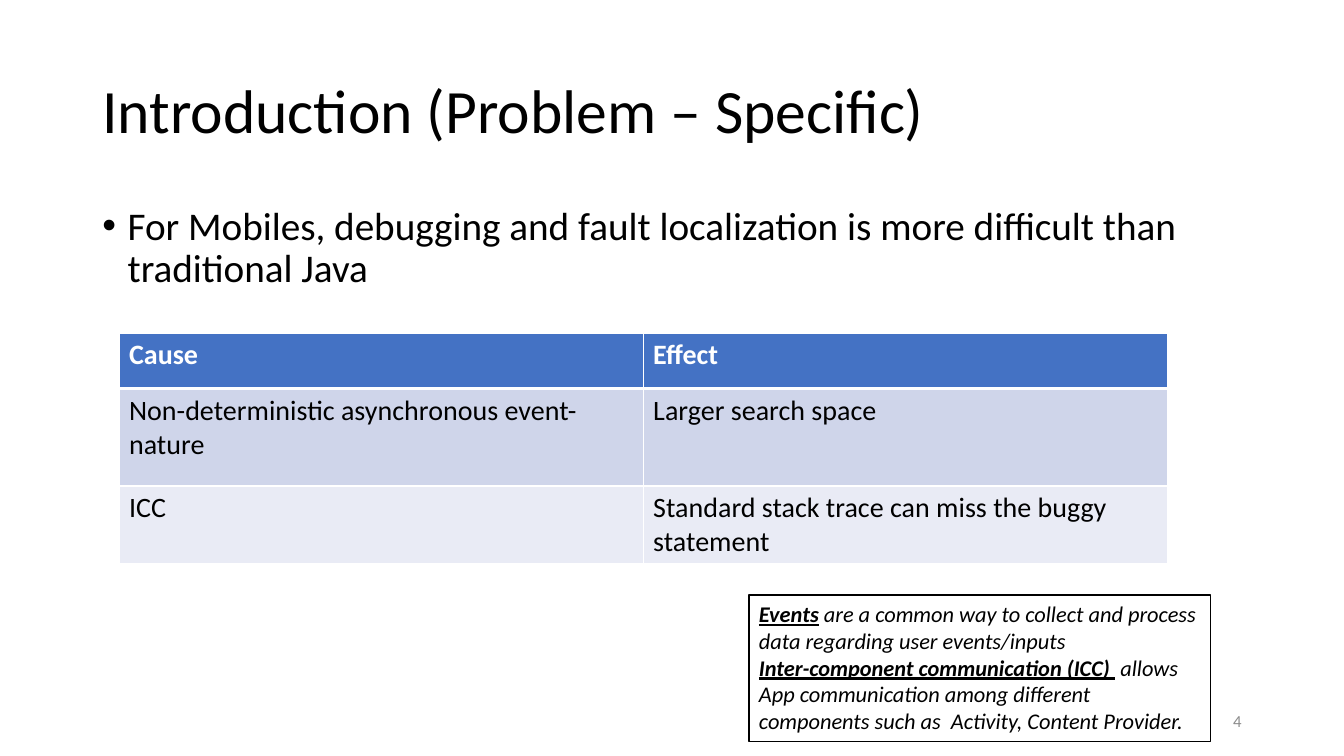
"""Build the slide on why fault localization is hard in mobile apps."""
from lxml import etree
from pptx import Presentation
from pptx.dml.color import RGBColor
from pptx.enum import shapes, text
from pptx.oxml import ns
from pptx.util import Pt

COLORS = {
    "black": "000000", "white": "FFFFFF", "gray": "8C8C8C",
    "header": "4472C4", "band_dark": "CFD5EA", "band_light": "E9EBF5",
}


def add_run(paragraph, words, size, color="black", bold=False, italic=False, underline=False):
    run = paragraph.add_run()
    run.text = words
    run.font.name = "Calibri"
    run.font.size = Pt(size)
    run.font.color.rgb = RGBColor.from_string(COLORS[color])
    run.font.bold = bold
    run.font.italic = italic
    run.font.underline = underline


def add_border(cell, side, width):
    properties = cell._tc.get_or_add_tcPr()
    line = etree.SubElement(properties, ns.qn(f"a:ln{side}"), w=str(Pt(width)))
    fill = etree.SubElement(line, ns.qn("a:solidFill"))
    etree.SubElement(fill, ns.qn("a:srgbClr"), val=COLORS["white"])


presentation = Presentation()
presentation.slide_width, presentation.slide_height = Pt(960), Pt(540)
slide = presentation.slides.add_slide(presentation.slide_layouts[1])

title, body = slide.placeholders
for placeholder, top, height in ((title, 28.8, 104.4), (body, 144, 342.7)):
    placeholder.left, placeholder.top = Pt(66), Pt(top)
    placeholder.width, placeholder.height = Pt(828), Pt(height)
    placeholder.text_frame.auto_size = text.MSO_AUTO_SIZE.NONE
    placeholder.text_frame.paragraphs[0].line_spacing = 0.9

title.text_frame.vertical_anchor = text.MSO_ANCHOR.MIDDLE
heading = title.text_frame.paragraphs[0]
heading.alignment = text.PP_ALIGN.LEFT
add_run(heading, "Introduction (Problem – Specific)", 44)

bullet = body.text_frame.paragraphs[0]
bullet.space_before = Pt(10)
bullet_properties = bullet._p.get_or_add_pPr()
bullet_properties.set("marL", str(Pt(18)))
bullet_properties.set("indent", str(Pt(-18)))
add_run(bullet, "For Mobiles, debugging and fault localization is more difficult than "
        "traditional Java", 28)

number_box = slide.shapes.add_textbox(Pt(678), Pt(500.5), Pt(216), Pt(28.75))
number_box.text_frame.word_wrap = True
number_box.text_frame.vertical_anchor = text.MSO_ANCHOR.MIDDLE
number = number_box.text_frame.paragraphs[0]
number.alignment = text.PP_ALIGN.RIGHT
add_run(number, "4", 12, color="gray")

definitions = [
    ("Events", " are a common way to collect and process data regarding user events/inputs"),
    ("Inter-component communication (ICC) ",
     " allows  App communication among different components such as  Activity, Content Provider."),
]
definition_box = slide.shapes.add_shape(
    shapes.MSO_SHAPE.RECTANGLE, Pt(535), Pt(425), Pt(329.75), Pt(104.4))
definition_box.shadow.inherit = False
definition_box.fill.background()
definition_box.line.color.rgb = RGBColor.from_string(COLORS["black"])
definition_box.line.width = Pt(0.75)
frame = definition_box.text_frame
frame.word_wrap = True
frame.auto_size = text.MSO_AUTO_SIZE.SHAPE_TO_FIT_TEXT
frame.vertical_anchor = text.MSO_ANCHOR.TOP
for index, (term, meaning) in enumerate(definitions):
    paragraph = frame.add_paragraph() if index else frame.paragraphs[0]
    paragraph.alignment = text.PP_ALIGN.LEFT
    add_run(paragraph, term, 16, bold=True, italic=True, underline=True)
    add_run(paragraph, meaning, 16, italic=True)

rows = [
    (39.6, "header", ("Cause", "Effect")),
    (69.6, "band_dark", ("Non-deterministic asynchronous event-nature", "Larger search space")),
    (55, "band_light", ("ICC", "Standard stack trace can miss the buggy statement")),
]
table = slide.shapes.add_table(len(rows), 2, Pt(85), Pt(237.9), Pt(748.8), Pt(164.2)).table
for row_index, (height, fill, entries) in enumerate(rows):
    table.rows[row_index].height = Pt(height)
    is_header = row_index == 0
    for column_index, entry in enumerate(entries):
        cell = table.cell(row_index, column_index)
        top_width = 3 if row_index == 1 else 1
        bottom_width = 3 if is_header else 1
        for side, width in (("L", 1), ("R", 1), ("T", top_width), ("B", bottom_width)):
            add_border(cell, side, width)
        cell.fill.solid()
        cell.fill.fore_color.rgb = RGBColor.from_string(COLORS[fill])
        add_run(cell.text_frame.paragraphs[0], entry, 20,
                color="white" if is_header else "black", bold=is_header)

presentation.save("out.pptx")
